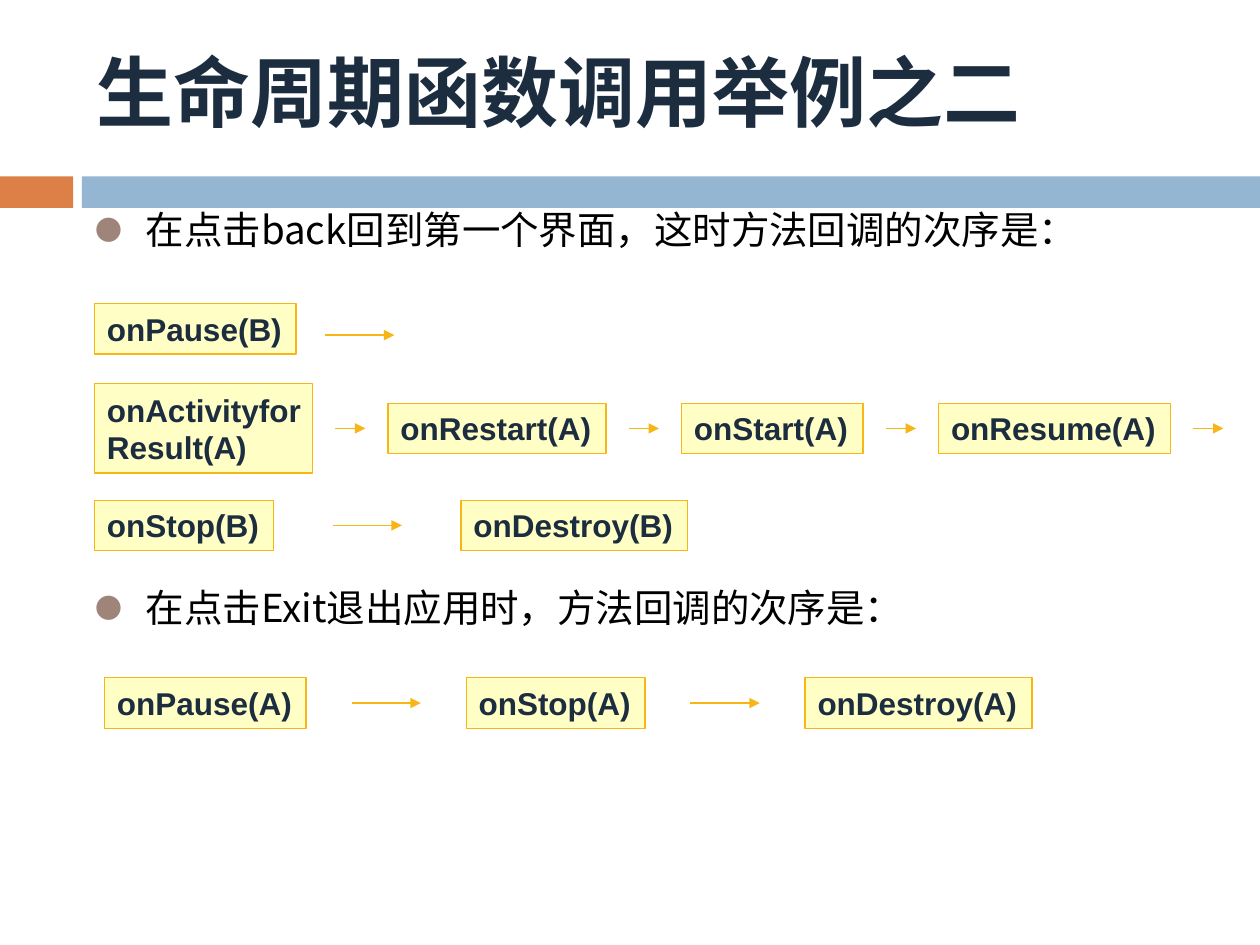
from dataclasses import dataclass

from lxml.etree import SubElement
from pptx import Presentation
from pptx.dml.color import RGBColor
from pptx.enum.shapes import MSO_CONNECTOR, MSO_SHAPE
from pptx.enum.text import MSO_ANCHOR, PP_ALIGN
from pptx.oxml.ns import qn
from pptx.util import Inches, Pt


@dataclass(frozen=True)
class Theme:
    navy: RGBColor = RGBColor(0x1C, 0x2D, 0x40)
    black: RGBColor = RGBColor(0, 0, 0)
    orange: RGBColor = RGBColor(0xDD, 0x80, 0x47)
    blue: RGBColor = RGBColor(0x94, 0xB6, 0xD2)
    cream: RGBColor = RGBColor(0xFF, 0xFF, 0xC5)
    gold: RGBColor = RGBColor(0xF7, 0xB6, 0x15)
    bullet: str = "9F8479"
    chinese_font: str = "Noto Sans CJK SC"
    latin_font: str = "Arial"
    title_size: Pt = Pt(44)
    body_size: Pt = Pt(22)
    box_size: Pt = Pt(18)
    line_width: Pt = Pt(0.75)


THEME = Theme()
TITLE_FORMAT = {"name": THEME.chinese_font, "size": THEME.title_size, "bold": True}
BODY_FORMAT = {"name": THEME.chinese_font, "size": THEME.body_size, "bold": False}
BOX_FORMAT = {"name": THEME.latin_font, "size": THEME.box_size, "bold": True}
BOX_HEIGHT = 0.4

# Each row: left, vertical centre, gap between boxes, arrow length,
# arrow drop below the centre, ends with an arrow, and (method, box width) pairs.
CALL_ROWS = [
    (0.75, 2.61, 1.01, 0.55, 0.05, True, [("onPause(B)", 1.6)]),
    (0.75, 3.4, 0.6, 0.24, 0, True,
     [("onActivityforResult(A)", 1.73), ("onRestart(A)", 1.73),
      ("onStart(A)", 1.44), ("onResume(A)", 1.84)]),
    (0.75, 4.17, 1.49, 0.55, 0, False, [("onStop(B)", 1.42), ("onDestroy(B)", 1.8)]),
    (0.83, 5.58, 1.27, 0.55, 0, False,
     [("onPause(A)", 1.6), ("onStop(A)", 1.42), ("onDestroy(A)", 1.8)]),
]


def write_text(shape, text, font_format, color):
    shape.text_frame.vertical_anchor = MSO_ANCHOR.MIDDLE
    paragraph = shape.text_frame.paragraphs[0]
    paragraph.alignment = PP_ALIGN.LEFT
    run = paragraph.add_run()
    run.text = text
    for attribute, value in font_format.items():
        setattr(run.font, attribute, value)
    run.font.color.rgb = color
    east_asian = SubElement(run.font._element, qn("a:ea"))
    east_asian.set("typeface", font_format["name"])
    return paragraph


def add_rectangle(slide, left, top, width, height, fill):
    shape = slide.shapes.add_shape(
        MSO_SHAPE.RECTANGLE, Inches(left), Inches(top), Inches(width), Inches(height))
    shape.shadow.inherit = False
    shape.fill.solid()
    shape.fill.fore_color.rgb = fill
    shape.line.fill.background()
    return shape


def add_text_box(slide, left, top, width, height):
    text_box = slide.shapes.add_textbox(
        Inches(left), Inches(top), Inches(width), Inches(height))
    text_box.text_frame.word_wrap = True
    return text_box


def add_title(slide, left, top, width, height, text):
    text_box = add_text_box(slide, left, top, width, height)
    paragraph = write_text(text_box, text, TITLE_FORMAT, THEME.navy)
    paragraph.line_spacing = 0.8


def add_band(slide, top, height):
    add_rectangle(slide, 0, top, 0.58, height, THEME.orange)
    add_rectangle(slide, 0.65, top, 9.35, height, THEME.blue)


def add_bullet(slide, left, top, width, height, text):
    text_box = add_text_box(slide, left, top, width, height)
    paragraph = write_text(text_box, text, BODY_FORMAT, THEME.black)
    properties = paragraph._p.get_or_add_pPr()
    properties.set("marL", str(Inches(0.79)))
    properties.set("indent", str(Inches(-0.4)))
    color = SubElement(properties, qn("a:buClr"))
    SubElement(color, qn("a:srgbClr")).set("val", THEME.bullet)
    SubElement(properties, qn("a:buSzPct")).set("val", "70000")
    SubElement(properties, qn("a:buFont")).set("typeface", THEME.chinese_font)
    SubElement(properties, qn("a:buChar")).set("char", "●")


def add_method_box(slide, left, middle, width, method):
    """Draw one method; a name too long for a single line gets a two-line box."""
    two_lines = len(method) > 15
    height = 0.71 if two_lines else BOX_HEIGHT
    box = add_rectangle(slide, left, middle - height / 2, width, height, THEME.cream)
    box.line.color.rgb = THEME.gold
    box.line.width = THEME.line_width
    box.text_frame.word_wrap = two_lines
    if two_lines:
        box.text_frame.margin_right = Inches(0.02)
    write_text(box, method, BOX_FORMAT, THEME.navy)


def add_arrow(slide, left, middle, length):
    arrow = slide.shapes.add_connector(
        MSO_CONNECTOR.STRAIGHT, Inches(left), Inches(middle),
        Inches(left + length), Inches(middle))
    arrow.line.color.rgb = THEME.gold
    arrow.line.width = THEME.line_width
    SubElement(arrow.line._get_or_add_ln(), qn("a:tailEnd")).set("type", "triangle")
    SubElement(arrow._element.spPr, qn("a:effectLst"))


def add_call_row(slide, left, middle, gap, arrow_length, arrow_drop, open_end, methods):
    """Set boxes side by side with an arrow centred in each gap."""
    for index, (method, width) in enumerate(methods):
        add_method_box(slide, left, middle, width, method)
        left += width
        if open_end or index < len(methods) - 1:
            add_arrow(slide, left + (gap - arrow_length) / 2,
                      middle + arrow_drop, arrow_length)
        left += gap


def main():
    presentation = Presentation()
    presentation.slide_width = Inches(10)
    presentation.slide_height = Inches(7.5)
    slide = presentation.slides.add_slide(presentation.slide_layouts[6])
    add_band(slide, 1.4, 0.25)
    add_title(slide, 0.67, 0.25, 8.92, 1.08, "生命周期函数调用举例之二")
    add_bullet(slide, 0.27, 1.55, 9.2, 0.54, "在点击back回到第一个界面，这时方法回调的次序是：")
    add_bullet(slide, 0.27, 4.55, 9.2, 0.54, "在点击Exit退出应用时，方法回调的次序是：")
    for row in CALL_ROWS:
        add_call_row(slide, *row)
    presentation.save("out.pptx")


if __name__ == "__main__":
    main()
